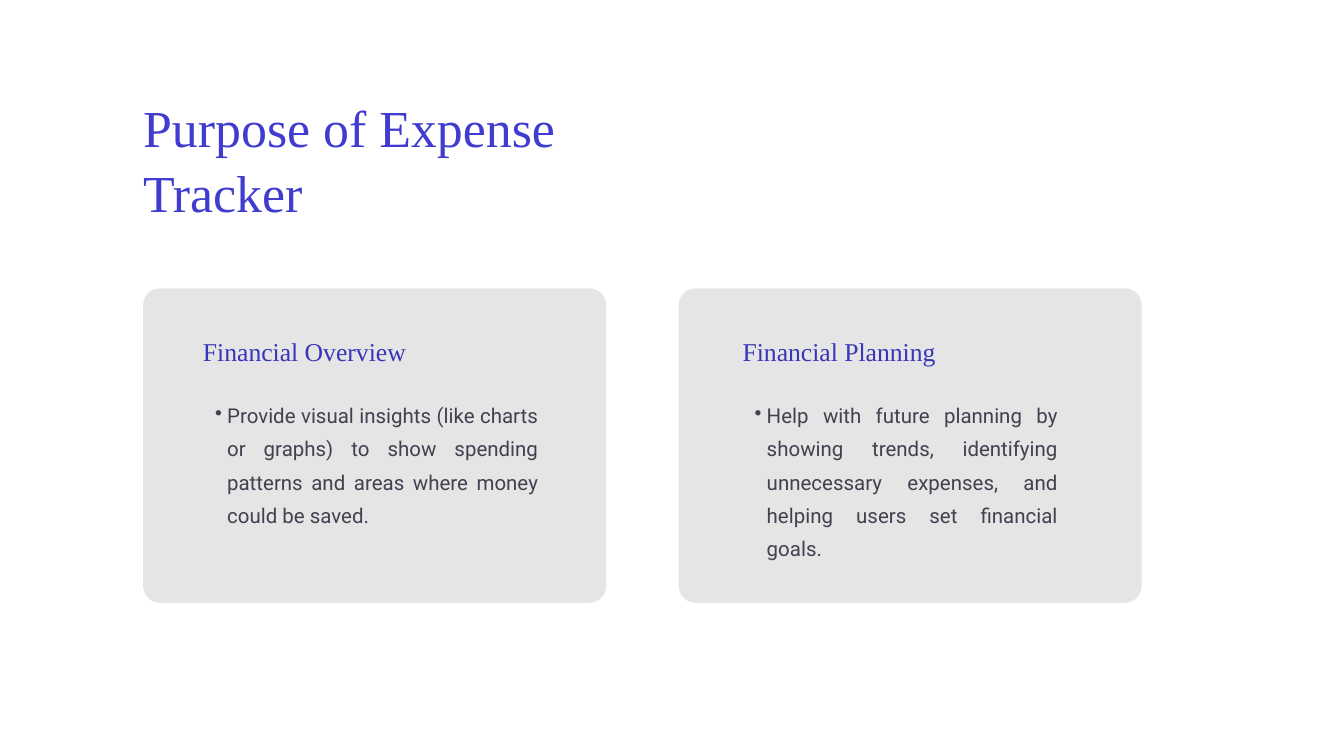
from lxml import etree
from pptx import Presentation
from pptx.dml.color import RGBColor
from pptx.enum.shapes import MSO_SHAPE
from pptx.enum.text import PP_ALIGN
from pptx.oxml.ns import qn
from pptx.util import Inches, Pt

ROUNDED_RECTANGLE = MSO_SHAPE.ROUNDED_RECTANGLE
LEFT, JUSTIFY = PP_ALIGN.LEFT, PP_ALIGN.JUSTIFY

HEADING_FONT, BODY_FONT = "Times New Roman", "Roboto"
HEADING_COLOR, BODY_COLOR, CARD_COLOR = "403CCF", "49495A", "000000"
CARD_OPACITY = 10
CORNER_RADIUS = 0.25
MARGIN_LEFT, CARD_TOP = 2.13, 4.29
CARD_WIDTH, CARD_HEIGHT, CARD_STEP = 6.89, 4.68, 7.97

CARDS = [
    {
        "heading": "Financial Overview",
        "body": "Provide visual insights (like charts or graphs) to show "
                "spending patterns and areas where money could be saved.",
        "inset": 0.89,
        "body_width": 4.99,
    },
    {
        "heading": "Financial Planning",
        "body": "Help with future planning by showing trends, identifying "
                "unnecessary expenses, and helping users set financial goals.",
        "inset": 0.95,
        "body_width": 4.69,
    },
]


def color(value):
    return RGBColor.from_string(value)


def add_bullet(paragraph, indent, hanging):
    properties = paragraph._p.get_or_add_pPr()
    properties.set("marL", str(Inches(indent)))
    properties.set("indent", str(-Inches(hanging)))
    etree.SubElement(properties, qn("a:buChar")).set("char", "•")


def add_text(slide, text, left, top, width, height, *, size, line_height,
             font=HEADING_FONT, text_color=HEADING_COLOR, align=LEFT,
             bullet=False):
    box = slide.shapes.add_textbox(
        Inches(left), Inches(top), Inches(width), Inches(height))
    frame = box.text_frame
    frame.word_wrap = True
    frame.margin_left = frame.margin_right = 0
    frame.margin_top = frame.margin_bottom = 0
    paragraph = frame.paragraphs[0]
    paragraph.alignment = align
    paragraph.line_spacing = Pt(line_height)
    if bullet:
        add_bullet(paragraph, indent=0.36, hanging=0.18)
    run = paragraph.add_run()
    run.text = text
    run.font.name = font
    run.font.size = Pt(size)
    run.font.color.rgb = color(text_color)


def add_title(slide, left, top, width, height):
    add_text(slide, "Purpose of Expense Tracker", left, top, width, height,
             size=55.6, line_height=69.4)


def add_card(slide, left, top, width, height, *, heading, body, inset,
             body_width):
    """Lay a translucent panel over a heading and its bullet."""
    text_left = left + inset
    add_text(slide, heading, text_left, top + 0.69, 4.99, 0.71,
             size=27.5, line_height=34.4)
    add_text(slide, body, text_left, top + 1.58, body_width, 2.52,
             size=21.9, line_height=35.6, font=BODY_FONT,
             text_color=BODY_COLOR, align=JUSTIFY, bullet=True)

    panel = slide.shapes.add_shape(
        ROUNDED_RECTANGLE,
        Inches(left), Inches(top), Inches(width), Inches(height))
    panel.adjustments[0] = CORNER_RADIUS / min(width, height)
    panel.shadow.inherit = False
    panel.line.fill.background()
    panel.fill.solid()
    panel.fill.fore_color.rgb = color(CARD_COLOR)
    fill_color = panel._element.spPr.find(qn("a:solidFill"))[0]
    alpha = etree.SubElement(fill_color, qn("a:alpha"))
    alpha.set("val", str(CARD_OPACITY * 1000))


def main():
    presentation = Presentation()
    presentation.slide_width = Inches(20)
    presentation.slide_height = Inches(11.25)
    slide = presentation.slides.add_slide(presentation.slide_layouts[6])

    add_title(slide, MARGIN_LEFT, 1.39, 8.21, 2.09)
    for index, card in enumerate(CARDS):
        add_card(slide, MARGIN_LEFT + index * CARD_STEP, CARD_TOP,
                 CARD_WIDTH, CARD_HEIGHT, **card)

    presentation.save("out.pptx")


if __name__ == "__main__":
    main()
